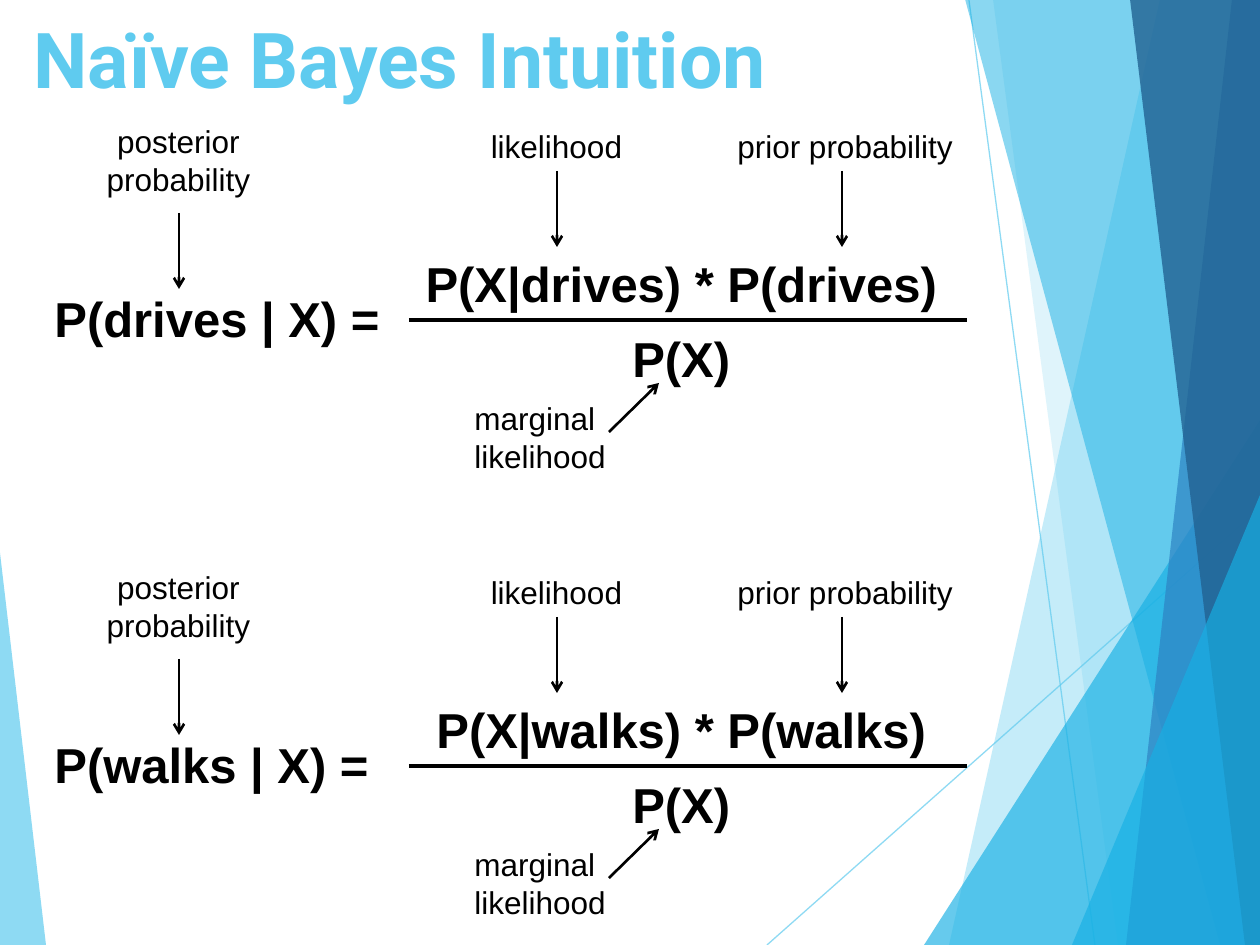
from pptx import Presentation
from pptx.dml.color import RGBColor
from pptx.enum.shapes import MSO_CONNECTOR, MSO_SHAPE
from pptx.enum.text import MSO_ANCHOR, MSO_AUTO_SIZE, PP_ALIGN
from pptx.oxml.ns import qn
from pptx.util import Pt
from lxml.etree import SubElement

EMU_PER_PX = 914400 / 126
WIDTH, HEIGHT = 1260, 945
COLORS = {"sky": "5FCBEF", "cyan": "17B0E4", "blue": "2E83C3",
          "navy": "226292", "ink": "000000"}


def px(n):
    return round(n * EMU_PER_PX)


def add_text(p, text, size=18, color="ink", bold=False, font="Arial", align=PP_ALIGN.LEFT):
    p.alignment = align
    r = p.add_run()
    r.text = text
    r.font.name = font
    r.font.size = Pt(size)
    r.font.bold = bold
    r.font.color.rgb = RGBColor.from_string(COLORS[color])


class Deck:
    def __init__(self):
        self.prs = Presentation()
        self.prs.slide_width, self.prs.slide_height = px(WIDTH), px(HEIGHT)
        self.s = self.prs.slides.add_slide(self.prs.slide_layouts[6])

    def set_alpha(self, sp, alpha):
        for clr in sp._element.spPr.iter(qn("a:srgbClr")):
            SubElement(clr, qn("a:alpha")).set("val", str(alpha * 1000))

    def paint(self, sp, color, alpha):
        sp.shadow.inherit = False
        sp.fill.solid()
        sp.fill.fore_color.rgb = RGBColor.from_string(COLORS[color])
        sp.line.fill.background()
        self.set_alpha(sp, alpha)

    def band(self, top, bottom, color, alpha):
        fb = self.s.shapes.build_freeform(top, -1, scale=EMU_PER_PX)
        fb.add_line_segments([(WIDTH, -1), (WIDTH, HEIGHT), (bottom, HEIGHT)], close=True)
        self.paint(fb.convert_to_shape(), color, alpha)

    def triangle(self, x, y, w, apex, color, alpha):
        sp = self.s.shapes.add_shape(MSO_SHAPE.ISOSCELES_TRIANGLE,
                                     px(x), px(y), px(w), px(HEIGHT - y))
        sp.adjustments[0] = apex
        self.paint(sp, color, alpha)

    def line(self, x1, y1, x2, y2, width=1.5, color="ink", arrow=False, alpha=None):
        c = self.s.shapes.add_connector(MSO_CONNECTOR.STRAIGHT, px(x1), px(y1), px(x2), px(y2))
        c.line.width = Pt(width)
        c.line.color.rgb = RGBColor.from_string(COLORS[color])
        if alpha:
            self.set_alpha(c, alpha)
        if arrow:
            SubElement(c.line._get_or_add_ln(), qn("a:tailEnd")).set("type", "arrow")
        SubElement(c._element.spPr, qn("a:effectLst"))

    def text(self, x, y, w, h, text, anchor=MSO_ANCHOR.TOP, grow=True, **fmt):
        tf = self.s.shapes.add_textbox(px(x), px(y), px(w), px(h)).text_frame
        tf.word_wrap = True
        tf.vertical_anchor = anchor
        tf.auto_size = MSO_AUTO_SIZE.SHAPE_TO_FIT_TEXT if grow else MSO_AUTO_SIZE.NONE
        add_text(tf.paragraphs[0], text, **fmt)

    def backdrop(self):
        self.line(969, 0, 1095, HEIGHT, 0.75, "sky", alpha=70)
        self.line(WIDTH, 508, 767, HEIGHT, 0.75, "sky", alpha=70)
        self.band(1160, 949, "sky", 36)
        self.band(993, 1118, "sky", 20)
        self.triangle(924, 420, 336, 1, "cyan", 66)
        self.band(965, 1220, "cyan", 50)
        self.band(1232, 1126, "blue", 70)
        self.band(1130, 1245, "navy", 80)
        self.triangle(1072, 495, 188, 1, "cyan", 66)
        self.triangle(0, 553, 46, 0, "sky", 70)

    def formula(self, y, event):
        center = PP_ALIGN.CENTER
        big = {"size": 28, "bold": True}
        self.text(42, y + 282, 420, 72, f"P({event} | X) = ", **big)
        self.line(409, y + 320, 967, y + 320, 2.5)
        self.text(409, y + 247, 558, 72, f"P(X|{event}) * P({event}) ", align=center, **big)
        self.text(409, y + 322, 558, 72, "P(X) ", align=center, **big)
        self.text(714, y + 121, 262, 51, "prior probability", align=center)
        self.text(462, y + 121, 189, 51, "likelihood", align=center)
        self.text(462, y + 393, 168, 89, "marginal likelihood")
        self.text(84, y + 116, 189, 89, "posterior probability", align=center)
        for x1, y1, x2, y2 in ((557, 171, 557, 247), (842, 171, 842, 247),
                               (609, 432, 659, 383), (179, 213, 179, 289)):
            self.line(x1, y + y1, x2, y + y2, arrow=True)


deck = Deck()
deck.backdrop()
deck.text(21, 0, 1103, 116, "Naïve Bayes Intuition", MSO_ANCHOR.MIDDLE, grow=False,
          size=44, color="sky", bold=True, font="Roboto")
for top, event in ((446, "walks"), (0, "drives")):
    deck.formula(top, event)
deck.prs.save("out.pptx")
